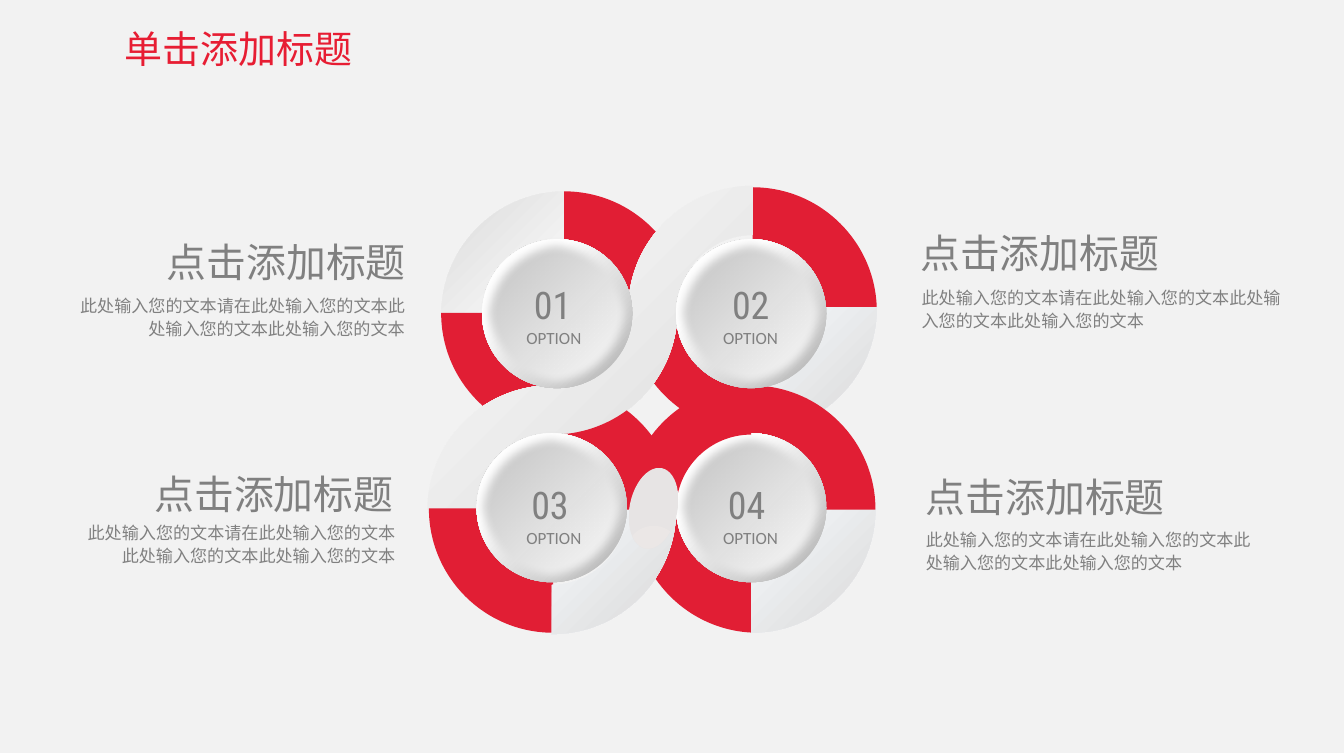
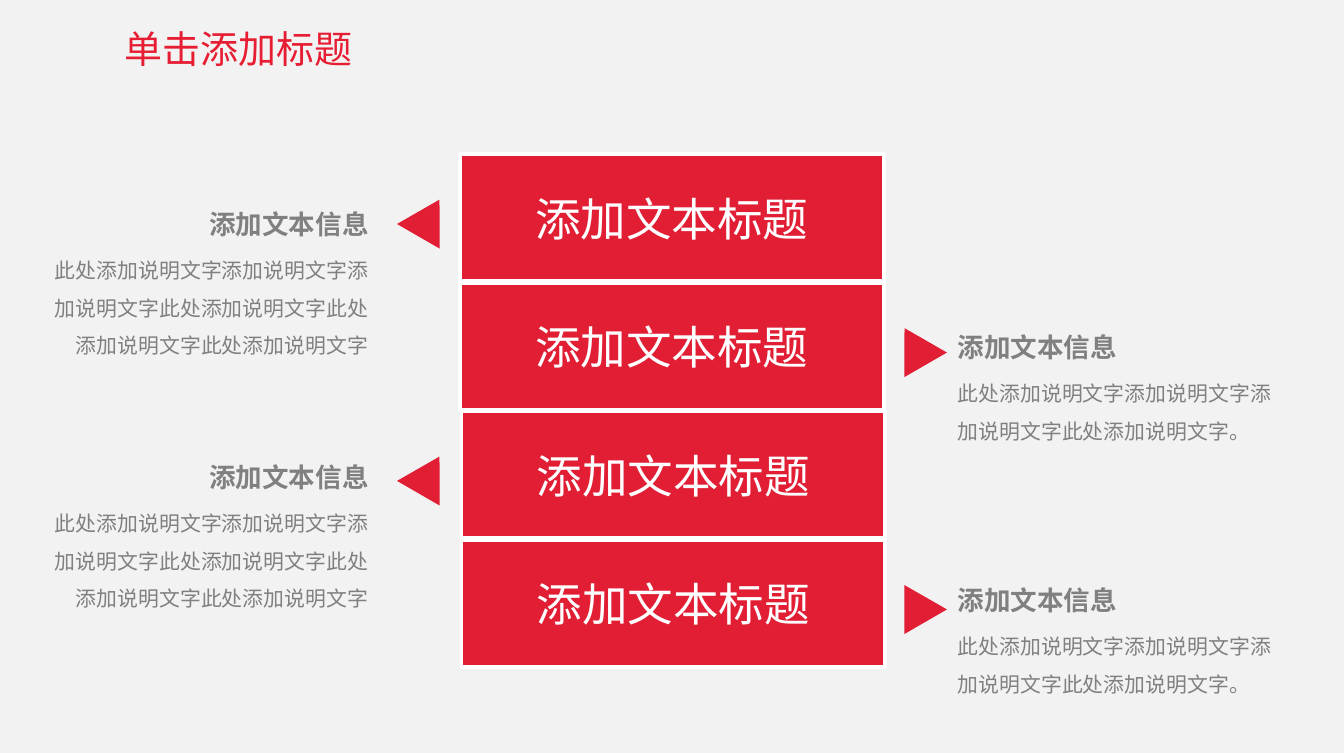
from math import cos, radians, sin, tan
from lxml.etree import SubElement
from pptx import Presentation
from pptx.dml.color import RGBColor
from pptx.enum.shapes import MSO_SHAPE as Kind
from pptx.enum.text import MSO_ANCHOR as Anchor, PP_ALIGN as Align
from pptx.oxml import parse_xml
from pptx.oxml.ns import nsdecls, qn
from pptx.util import Inches, Pt

RED = RGBColor(0xE1, 0x1E, 0x34)
TITLE = RGBColor(0xE7, 0x1D, 0x33)
GRAY = RGBColor(0x80, 0x80, 0x80)
WHITE = RGBColor(0xFF, 0xFF, 0xFF)
PAPER = RGBColor(0xF2, 0xF2, 0xF2)
SILVER = RGBColor(0xD9, 0xD9, 0xD9)
STEEL = RGBColor(0xBF, 0xBF, 0xBF)
ICE = RGBColor(0xF6, 0xF9, 0xFC)
SHELL = RGBColor(0xEB, 0xE7, 0xE6)
ASH = RGBColor(0xE7, 0xE4, 0xE4)

HAN = "Noto Sans CJK SC"
OUTER, INNER = 0.91, 0.55
BODY = "此处输入您的文本请在此处输入您的文本此处输入您的文本此处输入您的文本"
LONG = "此处添加说明文字添加说明文字添加说明文字此处添加说明文字此处添加说明文字此处添加说明文字"
SHORT = "此处添加说明文字添加说明文字添加说明文字此处添加说明文字。"


def blend(start, end, angle=None, focus=None, stops=(0, 100)):
    marks = "".join(
        f'<a:gs pos="{stop * 1000}"><a:srgbClr val="{color}"/></a:gs>'
        for stop, color in zip(stops, (start, end)))
    if focus:
        sides = " ".join(f'{side}="{value * 1000}"' for side, value in zip("ltrb", focus))
        way = f'<a:path path="circle"><a:fillToRect {sides}/></a:path>'
    else:
        way = f'<a:lin ang="{angle * 60000}" scaled="0"/>'
    return f'<a:gradFill {nsdecls("a")} rotWithShape="1"><a:gsLst>{marks}</a:gsLst>{way}</a:gradFill>'


def paint(shape, fill):
    shape.shadow.inherit = False
    shape.line.fill.background()
    shape.fill.solid()
    if isinstance(fill, RGBColor):
        shape.fill.fore_color.rgb = fill
    else:
        solid = shape._element.spPr.find(qn("a:solidFill"))
        solid.getparent().replace(solid, parse_xml(fill))
    return shape


def add(slide, kind, box, fill):
    return paint(slide.shapes.add_shape(kind, *map(Inches, box)), fill)


def write(frame, words, size=9, color=GRAY, font=HAN, align=Align.LEFT,
          bold=False, lines=None, before=None):
    para = frame.paragraphs[0]
    if para.runs:
        para = frame.add_paragraph()
    para.alignment = align
    if lines:
        para.line_spacing = lines
    if before:
        para.space_before = Pt(before)
    run = para.add_run()
    run.text = words
    run.font.size, run.font.bold, run.font.name = Pt(size), bold, font
    run.font.color.rgb = color
    SubElement(run._r.get_or_add_rPr(), qn("a:ea")).set("typeface", font)


def pad(frame, side, end):
    frame.margin_left = frame.margin_right = Inches(side)
    frame.margin_top = frame.margin_bottom = Inches(end)


def frame(slide, box, wrap=True, side=0.1, end=0.05):
    area = slide.shapes.add_textbox(*map(Inches, box)).text_frame
    area.word_wrap = wrap
    pad(area, side, end)
    return area


def page(deck):
    slide = deck.slides.add_slide(deck.slide_layouts[6])
    area = frame(slide, (0.83, 0.15, 1.84, 0.41), False, 0.08, 0.04)
    write(area, "单击添加标题", size=20, color=TITLE, align=Align.CENTER)
    return slide


def arc(x, y, radius, start, end):
    first, last = radians(start), radians(end)
    pull = 4 / 3 * tan((last - first) / 4)
    turns = ((first, 0), (first, pull), (last, -pull), (last, 0))
    return [(x + radius * (cos(turn) - tug * sin(turn)),
             y + radius * (sin(turn) + tug * cos(turn))) for turn, tug in turns]


def trace(slide, arcs, fill, hub=()):
    spots = [(Inches(x), Inches(y)) for x, y in [*sum(arcs, []), *hub]]
    pen = slide.shapes.build_freeform(*spots[0])
    pen.add_line_segments(spots[1:], close=True)
    shape = paint(pen.convert_to_shape(), fill)
    steps = list(next(shape._element.iter(qn("a:path"))))
    for first in range(0, 4 * len(arcs), 4):
        curve = SubElement(steps[0].getparent(), qn("a:cubicBezTo"))
        steps[first].addnext(curve)
        for step in steps[first + 1:first + 4]:
            curve.append(step[0])
            step.getparent().remove(step)


def wedge(slide, x, y, start, fill):
    trace(slide, [arc(x, y, OUTER, start, start + 90)], fill, [(x, y)])


def ring(slide, x, y, start, fill):
    trace(slide, [arc(x, y, OUTER, start, start + 90),
                  arc(x, y, INNER, start + 90, start)], fill)


def button(slide, left, top, digits, inset, label, base):
    corner = (0, 0, 100, 100)
    add(slide, Kind.OVAL, (left + 0.02, top + 0.02, 1.1, 1.09),
        blend(WHITE, STEEL, focus=corner, stops=(29, 86)))
    face = add(slide, Kind.OVAL, (left, top, 1.13, 1.13), blend(STEEL, WHITE, focus=corner))
    effects = face._element.spPr.find(qn("a:effectLst"))
    SubElement(effects, qn("a:softEdge")).set("rad", str(Pt(5)))
    area = frame(slide, (inset, base, 0.44, 0.34), side=0, end=0)
    write(area, digits, size=20, font="Roboto Condensed")
    area = frame(slide, (label, base + 0.29, 0.61, 0.25), False)
    write(area, "OPTION", font="Calibri", align=Align.CENTER)


def knot(slide):
    left, right, top, low = 4.04, 5.5, 2.27, 3.73
    frost = blend(ICE, SILVER, 45)
    wedge(slide, 5.51, 2.28, 270, RED)
    wedge(slide, 5.55, 3.72, 90, RED)
    wedge(slide, 5.5, 3.72, 0, frost)
    wedge(slide, 4.14, 2.31, 180, blend(WHITE, SILVER, 225))
    wedge(slide, 4.13, 2.31, 270, RED)
    wedge(slide, 4.14, 2.29, 90, RED)
    wedge(slide, 5.51, 2.25, 90, RED)
    wedge(slide, 5.51, 2.25, 0, frost)
    west, east = left + 0.01, right + 0.01
    trace(slide, [arc(left, low, OUTER, 180, 270), arc(west, top, INNER, 90, 0),
                  arc(east, top, OUTER, 180, 270), arc(east, top, INNER, 270, 180),
                  arc(west, top, OUTER, 0, 90), arc(left, low, INNER, 270, 180)],
          blend(WHITE, SILVER, 45))
    wedge(slide, 4.05, 3.72, 90, RED)
    wedge(slide, right, low, 270, RED)
    button(slide, 3.51, 1.73, "01", 3.91, 3.75, 2.06)
    trace(slide, [arc(west, top, OUTER, 90, 53.5), arc(left, low, OUTER, 307, 323.5),
                  arc(right, low, OUTER - 0.01, 216.5, 180)], RED, [(left, low)])
    button(slide, 4.93, 3.15, "04", 5.33, 5.19, 3.52)
    ring(slide, left, low, 0, frost)
    ring(slide, right, low, 180, RED)
    drop = add(slide, Kind.OVAL, (4.61, 3.42, 0.35, 0.6),
               blend(SHELL, ASH, focus=(50, 130, 50, -30)))
    drop.rotation = 11.7
    button(slide, 3.47, 3.15, "03", 3.89, 3.75, 3.52)
    button(slide, 4.93, 1.73, "02", 5.36, 5.19, 2.06)


def caption(slide, head, body, align):
    write(frame(slide, (*body, 0.45)), BODY, align=align, lines=1.14)
    write(frame(slide, (*head, 1.97, 0.45), False), "点击添加标题", size=21, align=align)


def bar(slide, left, top):
    shape = add(slide, Kind.RECTANGLE, (left, top, 3.1, 0.93), RED)
    shape.line.color.rgb = WHITE
    shape.line.width = Pt(2)
    area = shape.text_frame
    area.vertical_anchor = Anchor.MIDDLE
    pad(area, 0.07, 0.04)
    write(area, "添加文本标题", size=24, color=WHITE, align=Align.CENTER)


def note(slide, left, top, words, align):
    area = frame(slide, (left, top, 2.59, 1.17), side=0.07, end=0.04)
    write(area, "添加文本信息", size=14, bold=True, align=align)
    write(area, words, size=11, align=align, lines=1.5, before=3)


def arrow(slide, left, top, turn):
    add(slide, Kind.ISOSCELES_TRIANGLE, (left, top, 0.36, 0.31), RED).rotation = turn


def options(deck):
    slide = page(deck)
    knot(slide)
    for head, body, align in (
            ((6.64, 1.62), (6.65, 2.03, 2.84), Align.LEFT),
            ((6.68, 3.41), (6.68, 3.8, 2.58), Align.LEFT),
            ((1.1, 1.69), (0.4, 2.09, 2.66), Align.RIGHT),
            ((1.01, 3.39), (0.49, 3.75, 2.5), Align.RIGHT)):
        caption(slide, head, body, align)


def stack(deck):
    slide = page(deck)
    pitch = 0.94
    for row in range(4):
        bar(slide, 3.37 + 0.01 * (row // 2), 1.13 + pitch * row)
    for pair in range(2):
        drop = 2 * pitch * pair
        arrow(slide, 2.96, 1.44 + drop, 30)
        arrow(slide, 6.52, 2.38 + drop, 330)
        note(slide, 0.18, 1.48 + 1.85 * pair, LONG, Align.RIGHT)
        note(slide, 6.94, 2.38 + 1.85 * pair, SHORT, Align.LEFT)


def main():
    deck = Presentation()
    deck.slide_width, deck.slide_height = Inches(9.84), Inches(5.51)
    back = deck.slide_master.background.fill
    back.solid()
    back.fore_color.rgb = PAPER
    options(deck)
    stack(deck)
    deck.save("out.pptx")


if __name__ == "__main__":
    main()
